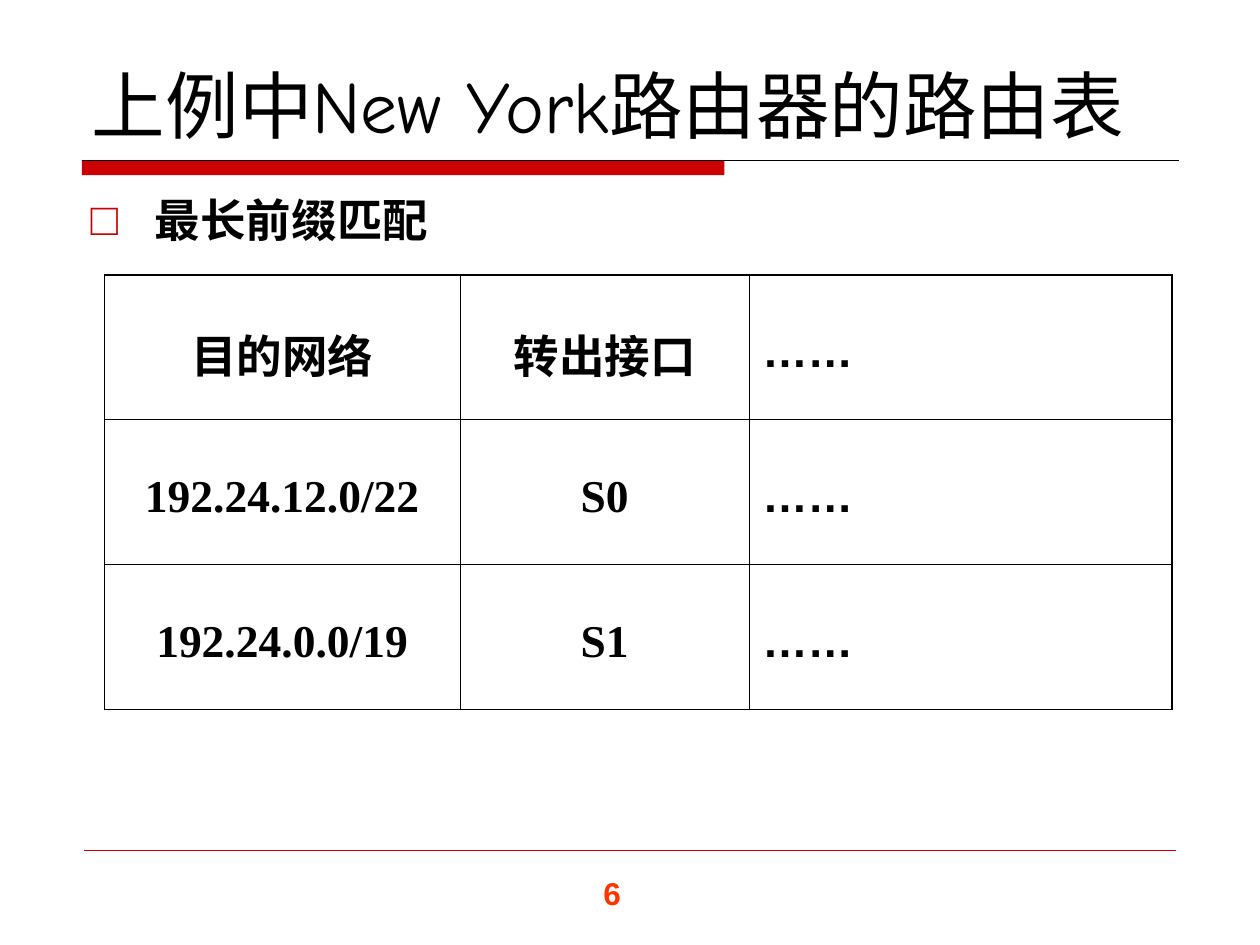
from lxml import etree
from pptx import Presentation
from pptx.dml.color import RGBColor
from pptx.enum.shapes import MSO_CONNECTOR as CONNECTOR, MSO_SHAPE as SHAPE
from pptx.enum.text import MSO_ANCHOR as ANCHOR, MSO_AUTO_SIZE as AUTO, PP_ALIGN as ALIGN
from pptx.oxml.ns import qn
from pptx.util import Inches, Pt

COLORS = {"black": "000000", "red": "CC0000", "number": "FF3300"}


def add_run(paragraph, text, size, font, color="black", bold=True):
    run = paragraph.add_run()
    run.text = text
    run.font.size = Pt(size)
    run.font.name = font
    run.font.bold = bold
    run.font.color.rgb = RGBColor.from_string(COLORS[color])


def add_rule(left, top, right, width, color):
    rule = slide.shapes.add_connector(
        CONNECTOR.STRAIGHT, Inches(left), Inches(top), Inches(right), Inches(top))
    rule.line.width = Pt(width)
    rule.line.color.rgb = RGBColor.from_string(COLORS[color])
    etree.SubElement(rule._element.spPr, qn("a:effectLst"))


prs = Presentation()
prs.slide_width, prs.slide_height = Inches(10), Inches(7.5)
slide = prs.slides.add_slide(prs.slide_layouts[1])

title_bar = slide.shapes.add_shape(
    SHAPE.RECTANGLE, Inches(0.65), Inches(1.27), Inches(5.1), Inches(0.12))
title_bar.shadow.inherit = False
title_bar.fill.solid()
title_bar.fill.fore_color.rgb = RGBColor.from_string(COLORS["red"])
title_bar.line.fill.background()
add_rule(0.65, 1.27, 9.36, 0.25, "black")
add_rule(0.67, 6.75, 9.33, 0.25, "red")

page_number = slide.shapes.add_textbox(Inches(4.69), Inches(6.89), Inches(0.75), Inches(0.4))
page_number.text_frame.word_wrap = True
add_run(page_number.text_frame.paragraphs[0], "6", 18, "Arial", "number")

title = slide.shapes.title
title.left, title.top, title.width, title.height = map(Inches, (0.63, 0.33, 8.75, 0.9))
title.text_frame.auto_size = AUTO.NONE
title.text_frame.vertical_anchor = ANCHOR.BOTTOM
heading = title.text_frame.paragraphs[0]
heading.alignment = ALIGN.LEFT
add_run(heading, "上例中New York路由器的路由表", 42, "Comic Neue", bold=False)

body = slide.placeholders[1]
body.left, body.top, body.width, body.height = map(Inches, (0.62, 1.39, 4.29, 5.2))
body.text_frame.auto_size = AUTO.NONE
matching_rule = body.text_frame.paragraphs[0]
matching_rule.line_spacing = 1.2
matching_rule.space_before = Pt(0)
bullet_props = matching_rule._p.get_or_add_pPr()
bullet_props.set("marL", str(Inches(0.51)))
bullet_props.set("indent", str(Inches(-0.51)))
bullet_color = etree.SubElement(bullet_props, qn("a:buClr"))
etree.SubElement(bullet_color, qn("a:srgbClr"), val=COLORS["red"])
etree.SubElement(bullet_props, qn("a:buChar"), char="□")
add_run(matching_rule, "最长前缀匹配", 26, "Times New Roman")

routes = [
    ["目的网络", "转出接口", "……"],
    ["192.24.12.0/22", "S0", "……"],
    ["192.24.0.0/19", "S1", "……"],
]
column_widths = [2.82, 2.3, 3.35]
row_height = 1.15
last_row, last_col = len(routes) - 1, len(column_widths) - 1

routing_table = slide.shapes.add_table(
    len(routes), len(column_widths), Inches(0.83), Inches(2.18),
    Inches(sum(column_widths)), Inches(row_height * len(routes))).table
routing_table.first_row = False
routing_table.horz_banding = False
for column, width in zip(routing_table.columns, column_widths):
    column.width = Inches(width)

for r, route in enumerate(routes):
    routing_table.rows[r].height = Inches(row_height)
    for c, value in enumerate(route):
        cell = routing_table.cell(r, c)
        cell.vertical_anchor = ANCHOR.MIDDLE
        outer_sides = {"L": c == 0, "R": c == last_col, "T": r == 0, "B": r == last_row}
        cell_props = cell._tc.get_or_add_tcPr()
        for side, is_outer in outer_sides.items():
            border = etree.SubElement(
                cell_props, qn(f"a:ln{side}"), w=str(Pt(1.08 if is_outer else 0.45)))
            border_fill = etree.SubElement(border, qn("a:solidFill"))
            etree.SubElement(border_fill, qn("a:srgbClr"), val=COLORS["black"])
        cell.fill.background()
        entry = cell.text_frame.paragraphs[0]
        entry.line_spacing = 1.2
        entry.alignment = ALIGN.LEFT if c == last_col else ALIGN.CENTER
        add_run(entry, value, 26, "Arial" if c == last_col else "Times New Roman")

prs.save("out.pptx")
